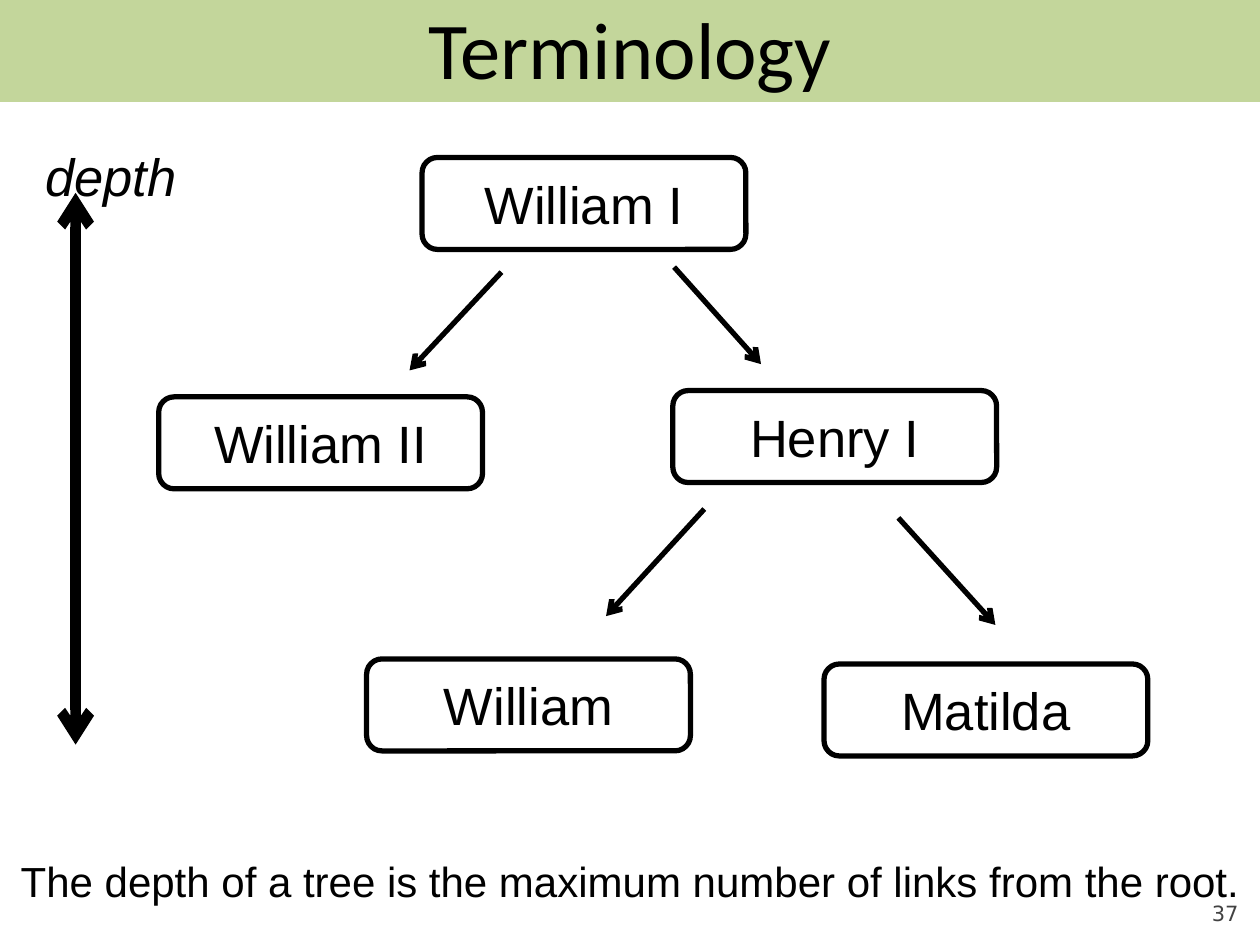
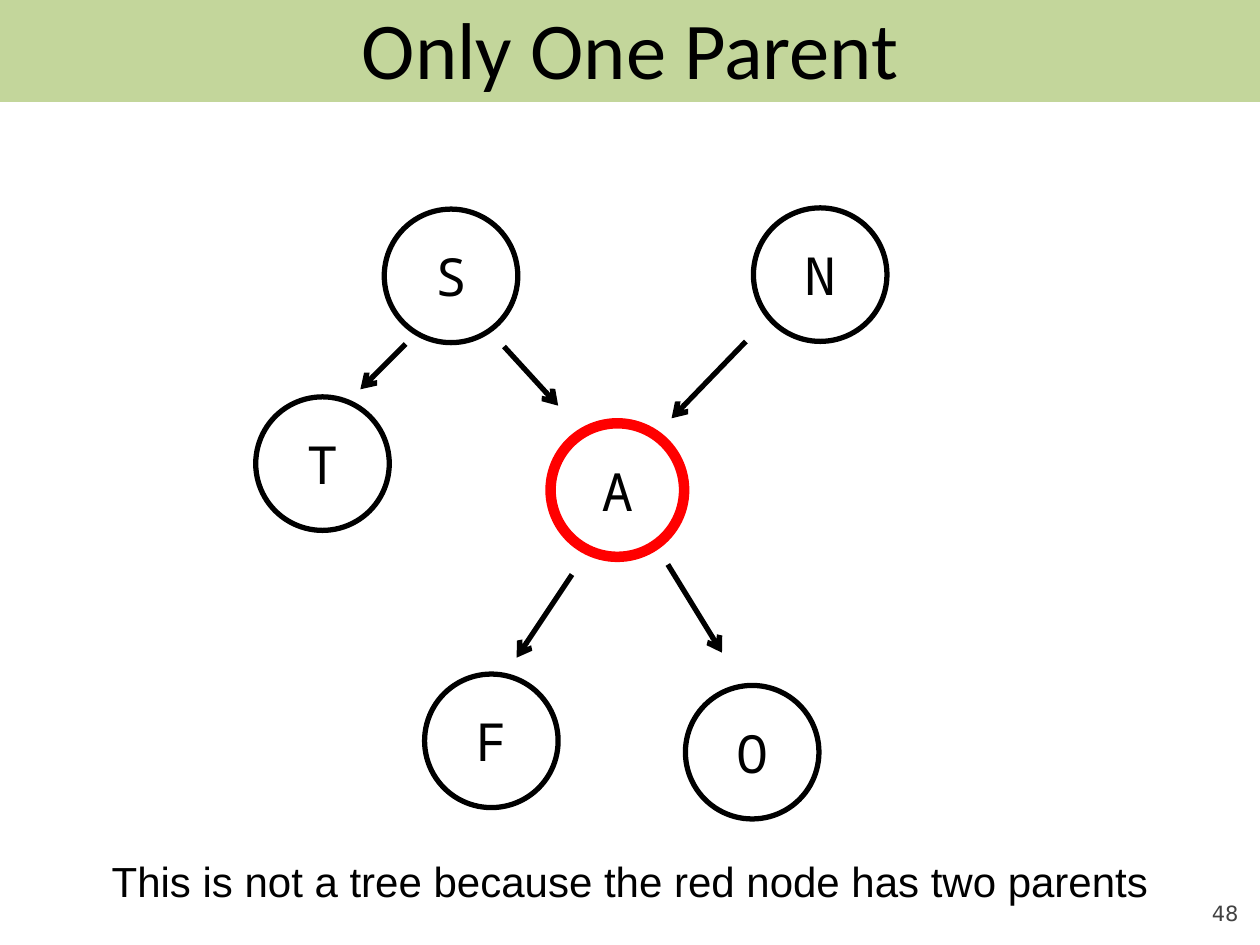
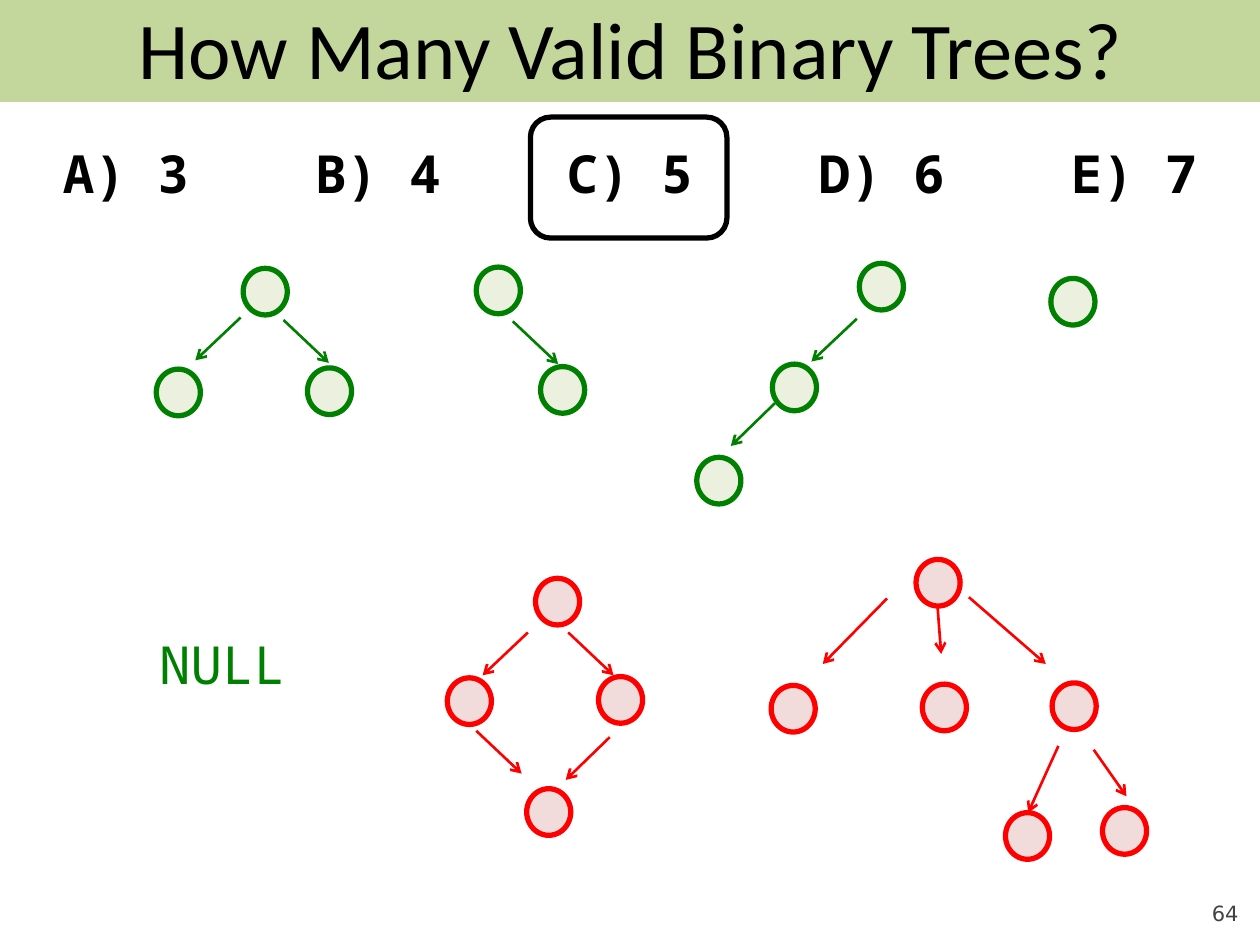
from dataclasses import dataclass

from lxml import etree
from pptx import Presentation
from pptx.dml.color import RGBColor
from pptx.enum.shapes import MSO_CONNECTOR, MSO_SHAPE
from pptx.enum.text import MSO_ANCHOR, MSO_AUTO_SIZE, PP_ALIGN
from pptx.oxml.ns import qn
from pptx.util import Pt

LEFT, CENTER, RIGHT = PP_ALIGN.LEFT, PP_ALIGN.CENTER, PP_ALIGN.RIGHT
TOP, MIDDLE, BOTTOM = MSO_ANCHOR.TOP, MSO_ANCHOR.MIDDLE, MSO_ANCHOR.BOTTOM
RECT, ROUNDED, OVAL = MSO_SHAPE.RECTANGLE, MSO_SHAPE.ROUNDED_RECTANGLE, MSO_SHAPE.OVAL
STRAIGHT = MSO_CONNECTOR.STRAIGHT
GROW = MSO_AUTO_SIZE.SHAPE_TO_FIT_TEXT

PX = 9144  # 100 px to the inch
WIDTH, HEIGHT = 1000, 750


@dataclass(frozen=True)
class Theme:
    black: str = "000000"
    grey: str = "424242"
    band: str = "C3D69B"
    green: str = "008000"
    pale_green: str = "EBF1DE"
    red: str = "FF0000"
    pale_red: str = "F2DCDB"
    title_font: str = "Calibri"
    body_font: str = "Arial"
    mono_font: str = "Noto Sans Mono"
    number_font: str = "DejaVu Sans"
    title_size: int = 46
    label_size: int = 30
    caption_size: int = 24
    number_size: int = 12
    thin: float = 1.5
    normal: int = 3
    thick: int = 6


T = Theme()
VALID = {"line": T.green, "fill": T.pale_green}
INVALID = {"line": T.red, "fill": T.pale_red}


# Basic elements
def emu(*lengths):
    return [n * PX for n in lengths]


def apply(obj, values):
    for name, value in values.items():
        setattr(obj, name, value)


def write(tf, text, font, size, color=T.black, align=CENTER, **style):
    p = tf.paragraphs[0]
    p.alignment = align
    r = p.add_run()
    r.text = text
    apply(r.font, {"name": font, "size": Pt(size), **style})
    r.font.color.rgb = RGBColor.from_string(color)
    return p


def add_text(s, box, text, font, size, color=T.black, align=CENTER,
             frame=None, **style):
    tf = s.shapes.add_textbox(*emu(*box)).text_frame
    apply(tf, {"word_wrap": True, "vertical_anchor": TOP, **(frame or {})})
    return write(tf, text, font, size, color, align, **style)


def add_outline(shapes, kind, box, line=T.black, width=T.normal, fill=None):
    sp = shapes.add_shape(kind, *emu(*box))
    sp.shadow.inherit = False
    if fill:
        sp.fill.solid()
        sp.fill.fore_color.rgb = RGBColor.from_string(fill)
    else:
        sp.fill.background()
    if line:
        sp.line.color.rgb = RGBColor.from_string(line)
        sp.line.width = Pt(width)
    else:
        sp.line.fill.background()
    return sp


def add_arrow(shapes, ends, color=T.black, width=T.normal, both=False):
    cxn = shapes.add_connector(STRAIGHT, *emu(*ends))
    cxn.line.color.rgb = RGBColor.from_string(color)
    cxn.line.width = Pt(width)
    ln = cxn.line._get_or_add_ln()
    for tag in ("a:headEnd", "a:tailEnd") if both else ("a:tailEnd",):
        etree.SubElement(ln, qn(tag)).set("type", "arrow")
    etree.SubElement(cxn._element.spPr, qn("a:effectLst"))


# Parts of the slides
def add_slide(prs, title, number):
    s = prs.slides.add_slide(prs.slide_layouts[6])
    margins = ("margin_left", "margin_top", "margin_right", "margin_bottom")
    add_text(s, (900, 695, 83, 40), str(number), T.number_font, T.number_size,
             T.grey, RIGHT, {"vertical_anchor": BOTTOM, **dict.fromkeys(margins, 0)})
    add_outline(s.shapes, RECT, (0, 0, WIDTH, 81), line=None, fill=T.band)
    add_text(s, (50, 0, 900, 75), title, T.title_font, T.title_size,
             frame={"vertical_anchor": MIDDLE})
    return s


def add_caption(s, text):
    add_text(s, (0, 674, WIDTH, 50), text, T.body_font, T.caption_size,
             frame={"auto_size": GROW})


def add_person(s, name, x, y):
    sp = add_outline(s.shapes, ROUNDED, (x, y, 257, 73))
    write(sp.text_frame, name, T.body_font, T.label_size)


def add_letter(s, letter, x, y, **outline):
    sp = add_outline(s.shapes, OVAL, (x, y, 106, 106), **outline)
    write(sp.text_frame, letter, T.mono_font, T.label_size)


def add_tree(s, colors, nodes, arrows=()):
    shapes = s.shapes.add_group_shape().shapes if arrows else s.shapes
    for x, y in nodes:
        add_outline(shapes, OVAL, (x, y, 35, 37), **colors)
    for ends in arrows:
        add_arrow(shapes, ends, colors["line"], T.thin)


def add_choices(s, choices, pitch):
    p = add_text(s, (0, 107, WIDTH, 61), "\t".join(choices), T.mono_font,
                 T.label_size, frame={"auto_size": GROW}, bold=True)
    tabs = etree.SubElement(p._p.get_or_add_pPr(), qn("a:tabLst"))
    for i in range(1, len(choices)):
        tab = etree.SubElement(tabs, qn("a:tab"))
        tab.set("pos", str(i * pitch * PX))
        tab.set("algn", "l")


# Slides
def terminology(prs):
    s = add_slide(prs, "Terminology", 37)
    for name, x, y in [("William I", 335, 125), ("William II", 126, 315),
                       ("Henry I", 534, 310), ("William", 291, 523),
                       ("Matilda", 654, 527)]:
        add_person(s, name, x, y)
    for ends in [(398, 216, 325, 294), (559, 404, 481, 489),
                 (713, 411, 790, 496), (535, 212, 604, 289)]:
        add_arrow(s.shapes, ends)
    add_arrow(s.shapes, (60, 153, 60, 591), width=T.thick, both=True)
    add_text(s, (13, 109, 137, 61), "depth", T.body_font, T.label_size,
             align=RIGHT, frame={"word_wrap": False, "auto_size": GROW}, italic=True)
    add_caption(s, "The depth of a tree is the maximum number of links from the root.")


def only_one_parent(prs):
    s = add_slide(prs, "Only One Parent", 48)
    for letter, x, y in [("S", 305, 166), ("T", 203, 315), ("N", 598, 165),
                         ("F", 337, 535), ("O", 544, 544)]:
        add_letter(s, letter, x, y)
    add_letter(s, "A", 437, 336, line=T.red, width=T.thick)
    for ends in [(322, 273, 286, 309), (400, 275, 443, 322), (530, 448, 573, 518),
                 (454, 456, 410, 522), (592, 271, 533, 332)]:
        add_arrow(s.shapes, ends)
    add_caption(s, "This is not a tree because the red node has two parents")


def valid_binary_trees(prs):
    s = add_slide(prs, "How Many Valid Binary Trees?", 64)

    # Valid trees
    add_tree(s, VALID, [(834, 221)])
    add_text(s, (107, 497, 129, 61), "NULL", T.mono_font, T.label_size,
             T.green, RIGHT, {"auto_size": GROW})
    add_tree(s, VALID, [(193, 213), (124, 293), (244, 292)],
             [(191, 252, 155, 286), (225, 254, 261, 288)])
    add_tree(s, VALID, [(378, 212), (429, 291)], [(407, 255, 443, 289)])
    add_tree(s, VALID, [(682, 209), (613, 289), (553, 363)],
             [(680, 253, 644, 287), (615, 320, 580, 354)])

    # Invalid trees
    add_tree(s, INVALID, [(425, 459), (355, 538), (475, 537), (418, 626)],
             [(419, 502, 383, 536), (484, 585, 449, 619),
              (451, 502, 487, 536), (378, 580, 414, 614)])
    add_tree(s, INVALID, [(727, 444), (612, 544), (732, 543),
                          (798, 645), (835, 542), (875, 641)],
             [(868, 595, 894, 632), (744, 480, 747, 519), (769, 474, 830, 527),
              (704, 475, 653, 527), (840, 592, 816, 645)])

    # Choices and the answer
    add_choices(s, ["A) 3", "B) 4", "C) 5", "D) 6", "E) 7"], 200)
    add_outline(s.shapes, ROUNDED, (421, 93, 156, 96))


def main():
    prs = Presentation()
    prs.slide_width, prs.slide_height = emu(WIDTH, HEIGHT)
    terminology(prs)
    only_one_parent(prs)
    valid_binary_trees(prs)
    prs.save("out.pptx")


if __name__ == "__main__":
    main()
